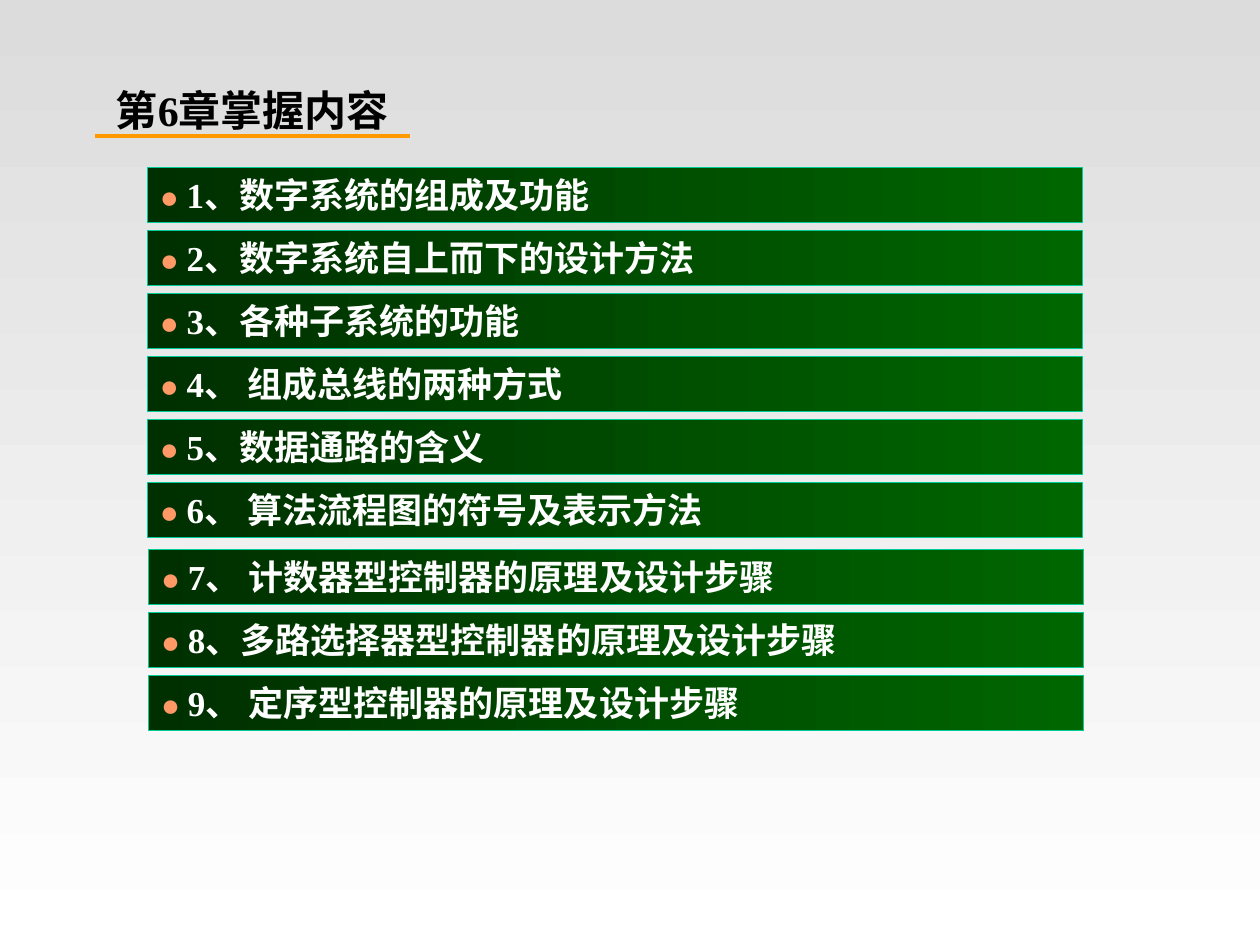
from lxml.etree import SubElement
from pptx import Presentation
from pptx.dml.color import RGBColor
from pptx.enum.shapes import MSO_CONNECTOR, MSO_SHAPE
from pptx.enum.text import MSO_ANCHOR, PP_ALIGN
from pptx.oxml.ns import qn
from pptx.util import Inches, Pt

TITLE = "第6章掌握内容"
# Each group: left, top of its first bar, items
GROUPS = [
    (1.17, 1.33, [
        "1、数字系统的组成及功能",
        "2、数字系统自上而下的设计方法",
        "3、各种子系统的功能",
        "4、 组成总线的两种方式",
        "5、数据通路的含义",
        "6、 算法流程图的符号及表示方法",
    ]),
    (1.18, 4.36, [
        "7、 计数器型控制器的原理及设计步骤",
        "8、多路选择器型控制器的原理及设计步骤",
        "9、 定序型控制器的原理及设计步骤",
    ]),
]
STEP, WIDTH, HEIGHT = 0.5, 7.42, 0.44

FONT = "Times New Roman"
BLACK = RGBColor(0x00, 0x00, 0x00)
WHITE = RGBColor(0xFF, 0xFF, 0xFF)
GREY = RGBColor(0xDC, 0xDC, 0xDC)
DARK = RGBColor(0x00, 0x2F, 0x00)
GREEN = RGBColor(0x00, 0x66, 0x00)
TEAL = RGBColor(0x00, 0xCC, 0x99)
ORANGE = RGBColor(0xFF, 0x99, 0x00)
PEACH = RGBColor(0xFF, 0x99, 0x66)


def blend(fill, start, end, angle):
    """Fill with a two-colour gradient; angle is counter-clockwise."""
    fill.gradient()
    fill.gradient_angle = angle
    for stop, color in zip(fill.gradient_stops, (start, end)):
        stop.color.rgb = color


def write(para, text, size=20, color=WHITE, bold=True):
    run = para.add_run()
    run.text = text
    font = run.font
    font.name, font.size, font.bold = FONT, Pt(size), bold
    font.color.rgb = color


def add_title(slide):
    box = slide.shapes.add_textbox(
        Inches(0.92), Inches(0.67), Inches(2.58), Inches(0.4))
    frame = box.text_frame
    frame.word_wrap = True
    frame.vertical_anchor = MSO_ANCHOR.MIDDLE
    frame.margin_left = frame.margin_right = 0
    frame.margin_top = frame.margin_bottom = 0
    write(frame.paragraphs[0], TITLE, size=24, color=BLACK)

    rule = slide.shapes.add_connector(
        MSO_CONNECTOR.STRAIGHT,
        Inches(0.75), Inches(1.08), Inches(3.25), Inches(1.08))
    rule.line.color.rgb = ORANGE
    rule.line.width = Pt(2.25)
    SubElement(rule.element.spPr, qn("a:effectLst"))


def add_bar(slide, left, top, text):
    bar = slide.shapes.add_shape(
        MSO_SHAPE.RECTANGLE,
        Inches(left), Inches(top), Inches(WIDTH), Inches(HEIGHT))
    bar.shadow.inherit = False
    blend(bar.fill, DARK, GREEN, 0)
    bar.line.color.rgb = TEAL
    bar.line.width = Pt(0.5)
    frame = bar.text_frame
    frame.word_wrap = True
    frame.vertical_anchor = MSO_ANCHOR.TOP
    para = frame.paragraphs[0]
    para.alignment = PP_ALIGN.JUSTIFY
    write(para, "● ", size=18, color=PEACH, bold=False)
    write(para, text)


def main():
    deck = Presentation()
    deck.slide_width, deck.slide_height = Inches(10), Inches(7.5)
    slide = deck.slides.add_slide(deck.slide_layouts[6])
    blend(slide.background.fill, GREY, WHITE, 270)
    add_title(slide)
    for left, top, items in GROUPS:
        for row, text in enumerate(items):
            add_bar(slide, left, top + row * STEP, text)
    deck.save("out.pptx")


if __name__ == "__main__":
    main()
